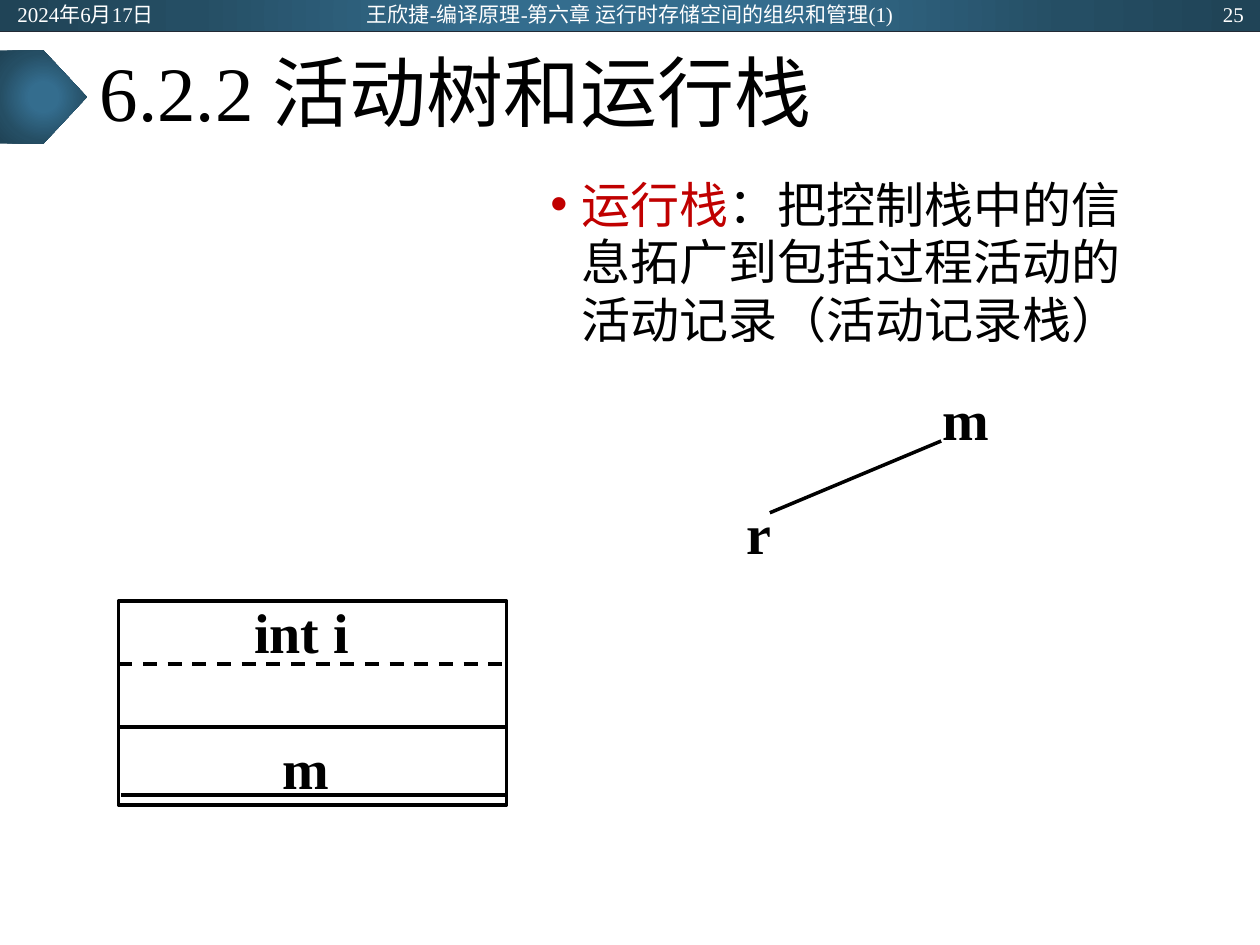
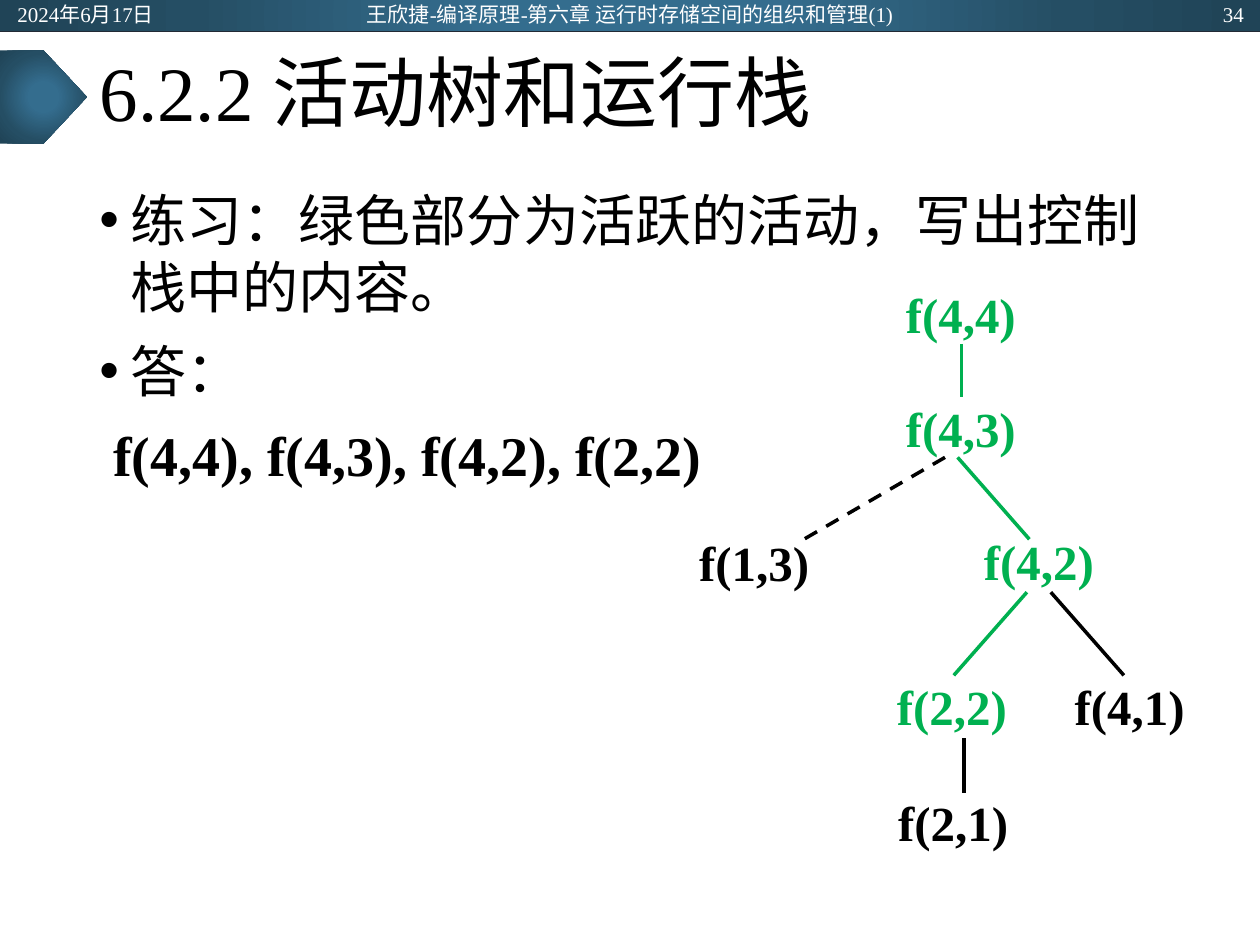
from pptx import Presentation
from pptx.dml.color import RGBColor
from pptx.enum.dml import MSO_LINE
from pptx.enum.shapes import MSO_CONNECTOR, MSO_SHAPE
from pptx.enum.text import MSO_ANCHOR, PP_ALIGN
from pptx.oxml import parse_xml
from pptx.oxml.ns import nsdecls, qn
from pptx.util import Inches, Pt
from lxml import etree

BLACK = RGBColor(0x00, 0x00, 0x00)
WHITE = RGBColor(0xFF, 0xFF, 0xFF)
RED = RGBColor(0xC0, 0x00, 0x00)
GREEN = RGBColor(0x00, 0xB0, 0x50)
NAVY = RGBColor(0x22, 0x2A, 0x35)
BAND_STOPS = [
    (0, RGBColor(0x34, 0x6D, 0x8E)),
    (23, RGBColor(0x34, 0x6D, 0x8E)),
    (69, RGBColor(0x25, 0x4E, 0x64)),
    (97, RGBColor(0x20, 0x44, 0x57)),
]
LATIN_FONT = "Times New Roman"
CHINESE_FONT = "Noto Sans CJK SC"
LEFT, CENTER, RIGHT = PP_ALIGN.LEFT, PP_ALIGN.CENTER, PP_ALIGN.RIGHT
TOP, MIDDLE = MSO_ANCHOR.TOP, MSO_ANCHOR.MIDDLE
RECTANGLE, PENTAGON = MSO_SHAPE.RECTANGLE, MSO_SHAPE.PENTAGON
STRAIGHT = MSO_CONNECTOR.STRAIGHT
DASH = MSO_LINE.DASH

TITLE = "6.2.2 活动树和运行栈"
DATE = "2024年6月17日"
FOOTER = "王欣捷-编译原理-第六章 运行时存储空间的组织和管理(1)"


def write_text(shape, box, paragraphs, size, align=LEFT, anchor=TOP, inset=0.05, wrap=True):
    shape.left, shape.top, shape.width, shape.height = [Inches(value) for value in box]
    frame = shape.text_frame
    frame.word_wrap = wrap
    frame.vertical_anchor = anchor
    frame.margin_left = frame.margin_right = Inches(0.1)
    frame.margin_top = Inches(inset)
    frame.margin_bottom = Inches(min(inset, 0.05))
    for number, runs in enumerate(paragraphs):
        paragraph = frame.add_paragraph() if number else frame.paragraphs[0]
        paragraph.alignment = align
        for text, color, bold in runs:
            run = paragraph.add_run()
            run.text = text
            run.font.size = Pt(size)
            run.font.name = LATIN_FONT
            run.font.bold = bold
            run.font.color.rgb = color
            etree.SubElement(run.font._element, qn("a:ea"), typeface=CHINESE_FONT)
    return frame


def draw_line(slide, start, end, color=BLACK, width=2, dash=None):
    points = [Inches(value) for value in start + end]
    line = slide.shapes.add_connector(STRAIGHT, *points)
    line.line.color.rgb = color
    line.line.width = Pt(width)
    if dash:
        line.line.dash_style = dash
    etree.SubElement(line._element.spPr, qn("a:effectLst"))


presentation = Presentation()
presentation.slide_width = Inches(10)
presentation.slide_height = Inches(7.5)

stops = "".join(
    f'<a:gs pos="{position * 1000}"><a:srgbClr val="{color}"/></a:gs>'
    for position, color in BAND_STOPS
)
gradient = (
    f'<a:gradFill {nsdecls("a")} rotWithShape="1"><a:gsLst>{stops}</a:gsLst>'
    '<a:path path="circle"><a:fillToRect l="50000" t="50000" r="50000" b="50000"/></a:path>'
    "</a:gradFill>"
)

body_texts = [
    {
        "page": "25",
        "box": (4.27, 1.29, 5.04, 4.5),
        "size": 28,
        "paragraphs": [[
            ("运行栈", RED, False),
            ("：", BLACK, False),
            ("把控制栈中的信息拓广到包括过程活动的活动记录（活动记录栈）", BLACK, False),
        ]],
        "bullets": 1,
        "leading": 33,
    },
    {
        "page": "34",
        "box": (0.69, 1.38, 8.62, 5.38),
        "size": 32,
        "paragraphs": [
            [("练习：绿色部分为活跃的活动，写出控制栈中的内容。", BLACK, False)],
            [("答：", BLACK, False)],
            [("f(4,4), f(4,3), f(4,2), f(2,2)", BLACK, True)],
        ],
        "bullets": 2,
        "leading": 38,
    },
]

slides = []
for body in body_texts:
    slide = presentation.slides.add_slide(presentation.slide_layouts[5])
    slides.append(slide)
    for kind, box in [(RECTANGLE, (0, 0, 10, 0.25)), (PENTAGON, (0, 0.4, 0.69, 0.74))]:
        band = slide.shapes.add_shape(kind, *[Inches(value) for value in box])
        band.shadow.inherit = False
        band.line.fill.background()
        band.fill.background()
        properties = band._element.spPr
        properties.replace(properties.find(qn("a:noFill")), parse_xml(gradient))
    draw_line(slide, (0, 0.25), (10, 0.25), NAVY, 0.5)

    title = write_text(slide.shapes.title, (0.69, 0.25, 8.62, 1.04),
                       [[(TITLE, BLACK, False)]], 44, anchor=MIDDLE)
    title.paragraphs[0].line_spacing = 0.9

    for text, left, width, align in [
        (DATE, 0.04, 2.25, LEFT),
        (FOOTER, 2.58, 4.84, CENTER),
        (body["page"], 7.72, 2.25, RIGHT),
    ]:
        write_text(slide.shapes.add_textbox(0, 0, 0, 0), (left, 0.01, width, 0.2),
                   [[(text, WHITE, False)]], 12, align, MIDDLE, 0)

    frame = write_text(slide.shapes.add_textbox(0, 0, 0, 0), body["box"],
                       body["paragraphs"], body["size"], inset=0.1)
    for number, paragraph in enumerate(frame.paragraphs):
        paragraph_properties = paragraph._element.get_or_add_pPr()
        if number < body["bullets"]:
            paragraph_properties.set("marL", str(Inches(0.25)))
            paragraph_properties.set("indent", str(-Inches(0.25)))
            etree.SubElement(paragraph_properties, qn("a:buFont"), typeface="Arial")
            etree.SubElement(paragraph_properties, qn("a:buChar"), char="•")
        else:
            paragraph_properties.set("marL", str(Inches(0.11)))
        paragraph.line_spacing = Pt(body["leading"])
        if number:
            paragraph.space_before = Pt(10)

stack_slide, tree_slide = slides

for top, height in [(5.77, 0.62), (4.77, 1)]:
    record = stack_slide.shapes.add_shape(
        RECTANGLE, Inches(0.94), Inches(top), Inches(3.08), Inches(height))
    record.shadow.inherit = False
    record.fill.background()
    record.line.color.rgb = BLACK
    record.line.width = Pt(2)

draw_line(stack_slide, (0.96, 6.31), (4.02, 6.31))
draw_line(stack_slide, (0.94, 5.27), (3.99, 5.27), dash=DASH)
draw_line(stack_slide, (7.47, 3.5), (6.11, 4.07))

for text, box, align, inset, wrap in [
    ("m", (0.96, 5.73, 2.93, 0.77), CENTER, 0.09, True),
    ("int i", (1.92, 4.69, 0.96, 0.64), LEFT, 0.05, False),
    ("m", (7.38, 3, 0.72, 0.67), LEFT, 0.05, True),
    ("r", (5.83, 3.91, 0.72, 0.67), LEFT, 0.05, True),
]:
    write_text(stack_slide.shapes.add_textbox(0, 0, 0, 0), box,
               [[(text, BLACK, True)]], 32, align, inset=inset, wrap=wrap)

for call, left, top, color in [
    ("f(4,4)", 7.09, 2.21, GREEN),
    ("f(4,3)", 7.09, 3.11, GREEN),
    ("f(1,3)", 5.45, 4.18, BLACK),
    ("f(4,2)", 7.71, 4.17, GREEN),
    ("f(2,2)", 7.02, 5.32, GREEN),
    ("f(4,1)", 8.43, 5.32, BLACK),
    ("f(2,1)", 7.03, 6.24, BLACK),
]:
    write_text(tree_slide.shapes.add_textbox(0, 0, 0, 0), (left, top, 1.25, 0.76),
               [[(call, color, True)]], 28)

for start, end, color, dash in [
    ((7.63, 2.73), (7.63, 3.15), GREEN, None),
    ((7.5, 3.63), (6.38, 4.28), BLACK, DASH),
    ((7.6, 3.63), (8.17, 4.28), GREEN, None),
    ((8.15, 4.7), (7.57, 5.36), GREEN, None),
    ((8.34, 4.7), (8.92, 5.36), BLACK, None),
    ((7.65, 5.86), (7.65, 6.29), BLACK, None),
]:
    draw_line(tree_slide, start, end, color, dash=dash)

presentation.save("out.pptx")
